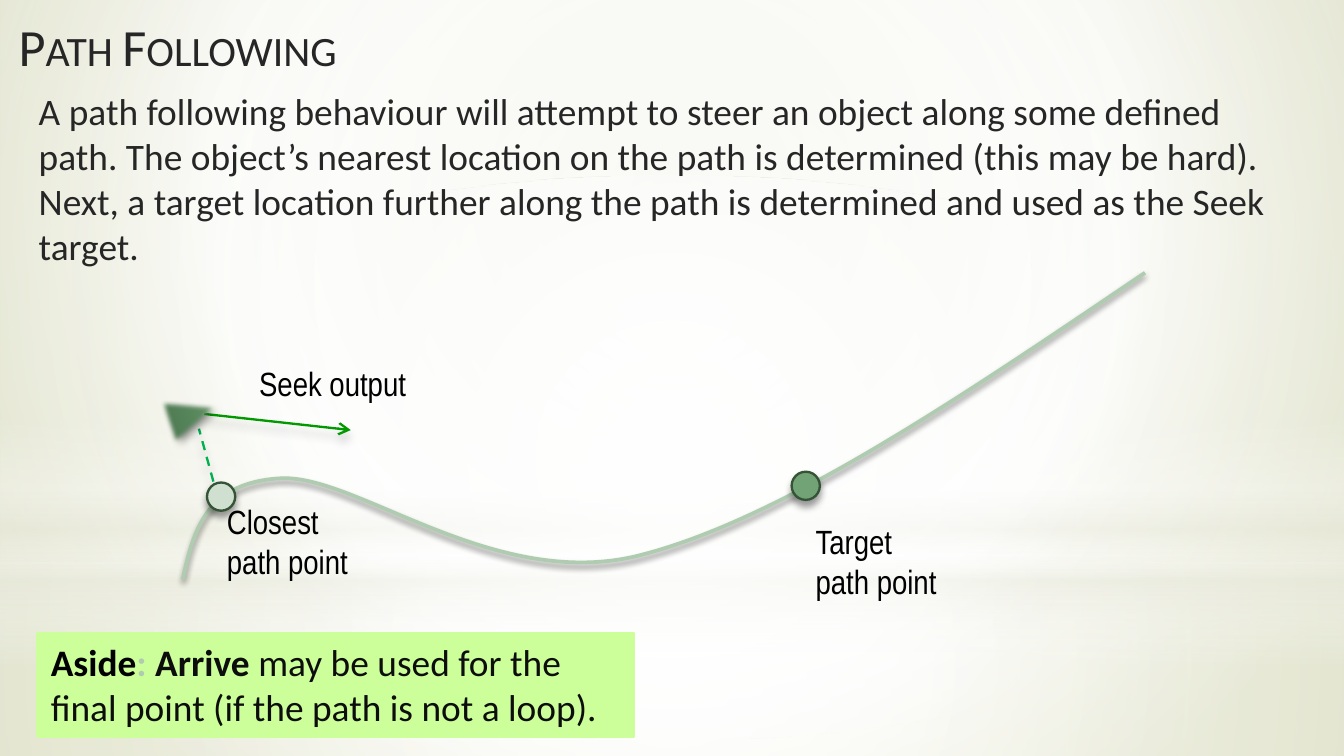
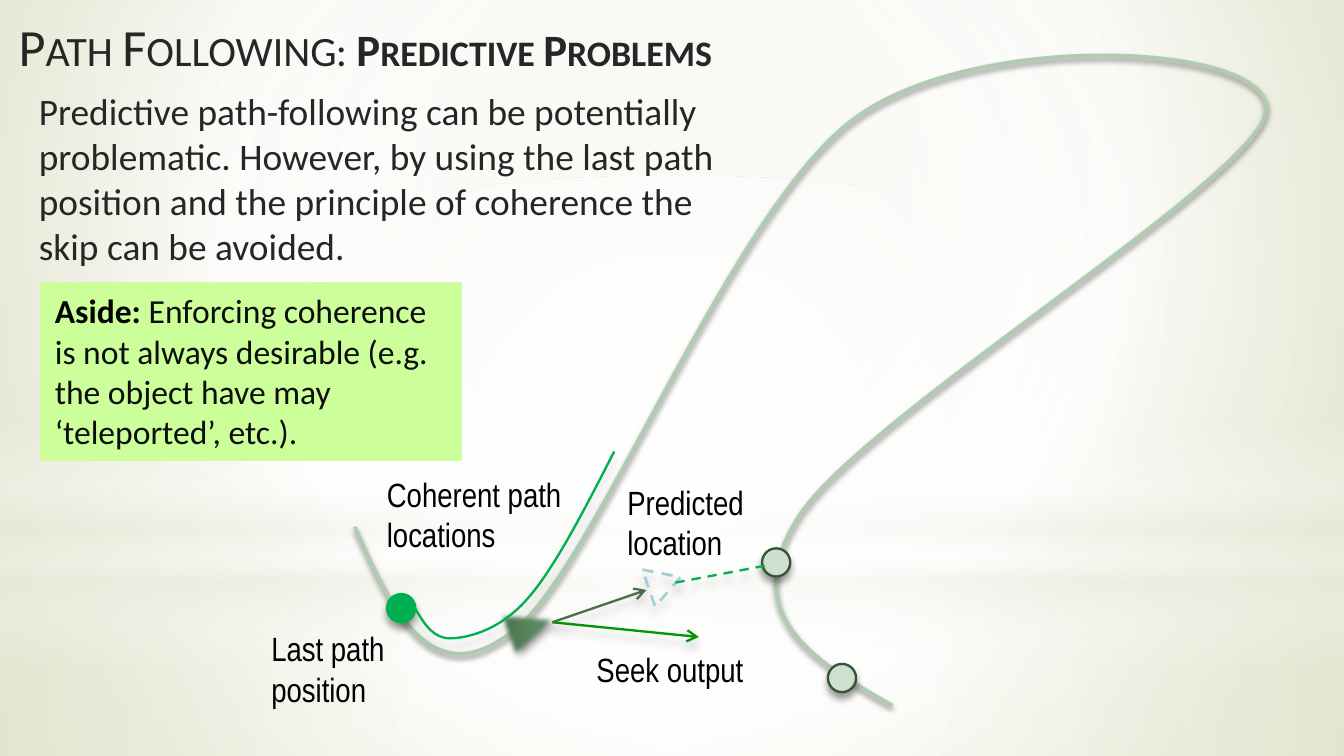
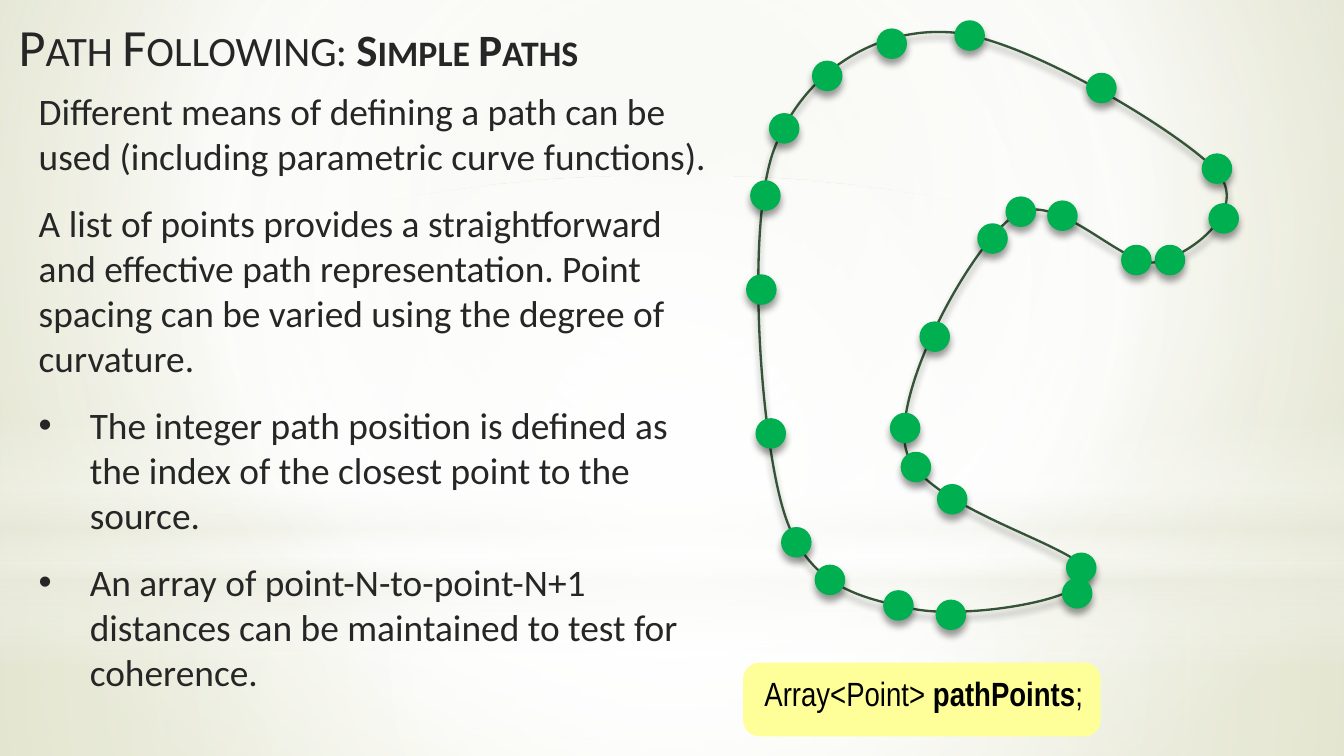
from lxml import etree
from pptx import Presentation
from pptx import util as u
from pptx.dml.color import RGBColor
from pptx.enum import dml, shapes, text
from pptx.oxml.ns import qn

BLACK = RGBColor(0x00, 0x00, 0x00)
INK = RGBColor(0x26, 0x26, 0x26)
SOFT_BLACK = RGBColor(0x0D, 0x0D, 0x0D)
WHITE = RGBColor(0xFF, 0xFF, 0xFF)
MIST = RGBColor(0xEA, 0xEB, 0xDE)
SAND = RGBColor(0xE3, 0xE5, 0xD1)
OLIVE = RGBColor(0xCC, 0xD0, 0x9F)
LIME = RGBColor(0xCC, 0xFF, 0x99)
YELLOW = RGBColor(0xFF, 0xFF, 0x99)
SAGE = RGBColor(0xB0, 0xCC, 0xB0)
PALE = RGBColor(0xD0, 0xE0, 0xD0)
MID = RGBColor(0x72, 0xA3, 0x76)
DARK = RGBColor(0x35, 0x53, 0x37)
MOSS = RGBColor(0x47, 0x70, 0x4B)
GREEN = RGBColor(0x00, 0xB0, 0x50)
SEEK = RGBColor(0x00, 0x99, 0x00)
ICE = RGBColor(0xA8, 0xCD, 0xD7)
AGENT_TOP = RGBColor(0x6A, 0x9E, 0x6E)
AGENT_BOTTOM = RGBColor(0x49, 0x73, 0x4D)

RECT = shapes.MSO_SHAPE.RECTANGLE
ROUND = shapes.MSO_SHAPE.ROUNDED_RECTANGLE
OVAL = shapes.MSO_SHAPE.OVAL
TRIANGLE = shapes.MSO_SHAPE.FLOWCHART_EXTRACT

DOT = 0.21
CENTRE = (50, 50, 50, 50)
LINE_SHADOW = (20, 5, 4, 90)
DOT_SHADOW = (40, 4, 3, 90)
AGENT_SHADOW = (40, 4, 3, 45)
PATH_SHADOW = (45, 3.1, 1.8, 90)

BANDS = [
    (RECT, (0, 4.19, 10, 1.44), [(0, WHITE, 91), (37, WHITE, 76), (100, MIST, 79)], CENTRE),
    (RECT, (0, 0, 10, 4.19), [(0, WHITE, 89), (48, WHITE, 62), (100, MIST, 79)], CENTRE),
    (RECT, (0, 3.09, 10, 1.88), [(0, WHITE, 0), (29, WHITE, 30), (45, MIST, 40),
                                 (55, WHITE, 26), (65, MIST, 60), (100, WHITE, 0)], None),
    (OVAL, (0, 1.31, 10, 4.19), [(0, WHITE, 100), (56, WHITE, 0)], CENTRE),
]


def inches(values):
    """Turn numbers into lengths."""
    return [u.Inches(v) for v in values]


def add(parent, tag, **attrs):
    """Append a drawing element with the given attributes."""
    return etree.SubElement(parent, qn("a:" + tag), {k: str(v) for k, v in attrs.items()})


def gradient(fill, owner, stops, focus=None):
    """Give a fill a radial gradient, or a vertical one without a focus."""
    fill.gradient()
    grad = next(owner.iter(qn("a:gradFill")))
    for child in list(grad):
        grad.remove(child)
    stop_list = add(grad, "gsLst")
    for pos, color, alpha in stops:
        clr = add(add(stop_list, "gs", pos=pos * 1000), "srgbClr", val=color)
        if alpha < 100:
            add(clr, "alpha", val=alpha * 1000)
    if focus:
        sides = {k: v * 1000 for k, v in zip("ltrb", focus)}
        add(add(grad, "path", path="circle"), "fillToRect", **sides)
    else:
        add(grad, "lin", ang=5400000, scaled=0)


def effects(sp, shadow=None, soft=0):
    """Replace the theme effects by an optional shadow and soft edge."""
    lst = add(sp._element.spPr, "effectLst")
    if shadow:
        alpha, blur, dist, angle = shadow
        outer = add(lst, "outerShdw", blurRad=u.Pt(blur), dist=u.Pt(dist),
                    dir=angle * 60000, rotWithShape=0)
        add(add(outer, "srgbClr", val=BLACK), "alpha", val=alpha * 1000)
    if soft:
        add(lst, "softEdge", rad=u.Pt(soft))


def stroke(line, color, width=1.25, dash=False):
    """Style an outline."""
    line.color.rgb = color
    line.width = u.Pt(width)
    if dash:
        line.dash_style = dml.MSO_LINE.DASH


class Deck:
    """Holds the presentation, its style and the current slide."""

    def __init__(self):
        """Start a widescreen presentation."""
        self.prs = Presentation()
        self.prs.slide_width = u.Inches(10)
        self.prs.slide_height = u.Inches(10) * 9 // 16

    def slide(self, subtitle=None):
        """Add a slide with backdrop and title."""
        self.s = self.prs.slides.add_slide(self.prs.slide_layouts[6])
        gradient(self.s.background.fill, self.s._element,
                 [(0, SAND, 100), (60, WHITE, 100), (100, OLIVE, 100)], (20, 10, 20, 60))
        for kind, box, stops, focus in BANDS:
            self.shape(kind, box, stops=stops, focus=focus)
        title = dict(size=28, small=True)
        self.text((0.04, 0.06, 4.25, 0.63), [[("Path Following", title)]], fit=False)
        if subtitle:
            runs = [(": ", title), (subtitle, dict(size=24, small=True, bold=True))]
            self.text((2.4, 0.06, 4.25, 0.63), [runs], fit=False)

    def shape(self, kind, box, fill=None, line=None, stops=None, focus=None,
              width=1.25, dash=False, shadow=None, soft=0, rotation=0):
        """Add a preset shape."""
        sp = self.s.shapes.add_shape(kind, *inches(box))
        sp.rotation = rotation
        if stops:
            gradient(sp.fill, sp._element, stops, focus)
        elif fill:
            sp.fill.solid()
            sp.fill.fore_color.rgb = fill
        else:
            sp.fill.background()
        if line:
            stroke(sp.line, line, width, dash)
        else:
            sp.line.fill.background()
        effects(sp, shadow, soft)
        return sp

    def put_text(self, sp, paragraphs, size, font, color, fit=True,
                 anchor=text.MSO_ANCHOR.TOP, gap=0, bullets=()):
        """Fill a shape with paragraphs, run by run."""
        tf = sp.text_frame
        tf.word_wrap = True
        tf.vertical_anchor = anchor
        if fit:
            tf.auto_size = text.MSO_AUTO_SIZE.SHAPE_TO_FIT_TEXT
        for i, runs in enumerate(paragraphs):
            p = tf.add_paragraph() if i else tf.paragraphs[0]
            p.alignment = text.PP_ALIGN.LEFT
            if i and gap:
                p.space_before = u.Pt(gap)
            if i in bullets:
                pPr = p._p.get_or_add_pPr()
                pPr.set("marL", str(u.Inches(0.38)))
                pPr.set("indent", str(-u.Inches(0.38)))
                add(pPr, "buFont", typeface="Arial")
                add(pPr, "buChar", char="•")
            for words, style in runs:
                r = p.add_run()
                r.text = words
                r.font.name = font
                r.font.size = u.Pt(style.get("size", size))
                r.font.bold = style.get("bold", False)
                r.font.color.rgb = style.get("color", color)
                if style.get("small"):
                    r.font._element.set("cap", "small")

    def text(self, box, paragraphs, size=20, font="Calibri", color=INK, **layout):
        """Add a text box."""
        sp = self.s.shapes.add_textbox(*inches(box))
        self.put_text(sp, paragraphs, size, font, color, **layout)

    def body(self, width, height, *paragraphs, **layout):
        """Add the main text."""
        self.text((0.19, 0.61, width, height), [[(p, {})] for p in paragraphs], **layout)

    def label(self, box, *runs):
        """Add a diagram label."""
        self.text(box, [runs], 18, "Arial Narrow", BLACK, anchor=text.MSO_ANCHOR.MIDDLE)

    def aside(self, box, size, *runs):
        """Add a highlighted remark."""
        sp = self.shape(RECT, box, LIME, LIME)
        self.put_text(sp, [runs], size, "Calibri", SOFT_BLACK)

    def dot(self, x, y, fill=GREEN, line=GREEN):
        """Add a path point."""
        self.shape(OVAL, (x, y, DOT, DOT), fill, line, shadow=DOT_SHADOW)

    def agent(self, x, y, rotation):
        """Add the steered object."""
        self.shape(TRIANGLE, (x, y, 0.41, 0.47), rotation=rotation, shadow=AGENT_SHADOW,
                   stops=[(0, AGENT_TOP, 100), (100, AGENT_BOTTOM, 100)], soft=2.5)

    def connector(self, start, end, color, dash=False, arrow=False):
        """Add a straight line or arrow."""
        cn = self.s.shapes.add_connector(shapes.MSO_CONNECTOR.STRAIGHT, *inches(start + end))
        stroke(cn.line, color, dash=dash)
        if arrow:
            add(cn._element.spPr.find(qn("a:ln")), "tailEnd", type="arrow")
        effects(cn, LINE_SHADOW)

    def curve(self, points, color, width=1.25, shadow=LINE_SHADOW, close=False):
        """Add a Bézier curve: a start, then two handles and an end per segment."""
        start, *rest = [inches(pt) for pt in points]
        builder = self.s.shapes.build_freeform(*start, scale=1.0)
        builder.add_line_segments(rest, close=close)
        sp = builder.convert_to_shape()
        segments = list(sp._element.iter(qn("a:lnTo")))
        for trio in zip(segments[::3], segments[1::3], segments[2::3]):
            cubic = etree.Element(qn("a:cubicBezTo"))
            trio[0].addprevious(cubic)
            for seg in trio:
                cubic.append(seg[0])
                seg.getparent().remove(seg)
        sp.fill.background()
        stroke(sp.line, color, width)
        effects(sp, shadow)


def path_following(d):
    """Build the slide on the basic behaviour."""
    d.slide()
    d.aside((0.28, 4.71, 4.44, 0.77), 20,
            ("Aside", dict(bold=True, color=BLACK)), (": ", dict(bold=True, color=SAGE)),
            ("Arrive", dict(bold=True)),
            (" may be used for the final point (if the path is not a loop).", {}))
    d.connector((1.62, 3.7), (1.48, 3.19), GREEN, dash=True)
    d.connector((1.52, 3.08), (2.61, 3.2), SEEK, arrow=True)
    d.agent(1.25, 2.85, 71.8)
    d.label((1.83, 2.65, 2.03, 0.4), ("Seek output", {}))
    d.label((1.59, 3.67, 1.17, 0.71), ("Closest path point", {}))
    d.curve([(1.36, 4.31), (1.44, 3.95), (1.53, 3.59), (2.09, 3.56),
             (2.65, 3.53), (3.66, 4.39), (4.73, 4.14),
             (5.8, 3.88), (7.16, 2.95), (8.52, 2.03)], SAGE, 2, PATH_SHADOW)
    d.dot(1.54, 3.59, PALE, DARK)
    d.dot(5.89, 3.51, MID, DARK)
    d.label((5.97, 3.82, 1.17, 0.71), ("Target path point", {}))
    d.body(9.54, 1.45,
           "A path following behaviour will attempt to steer an object along some defined "
           "path. The object’s nearest location on the path is determined (this may be hard). "
           "Next, a target location further along the path is determined and used as the Seek "
           "target.")


def predictive_problems(d):
    """Build the slide on prediction and coherence."""
    d.slide("Predictive Problems")
    d.curve([(2.64, 3.92), (2.92, 4.55), (3.21, 5.19), (3.84, 4.68),
             (4.46, 4.17), (5.46, 1.5), (6.39, 0.86),
             (7.32, 0.21), (9.5, 0.33), (9.42, 0.83),
             (9.35, 1.33), (6.4, 3.11), (5.94, 3.85),
             (5.48, 4.58), (6.06, 4.92), (6.64, 5.25)], SAGE, 2, PATH_SHADOW)
    d.connector((4.11, 4.63), (5.2, 4.74), SEEK, arrow=True)
    d.label((4.34, 4.78, 2.03, 0.4), ("Seek output", {}))
    d.label((4.57, 3.53, 1.17, 0.71), ("Predicted location", {}))
    d.dot(5.67, 4.08, PALE, DARK)
    d.connector((4.11, 4.63), (4.81, 4.39), MOSS, arrow=True)
    d.shape(TRIANGLE, (4.8, 4.21, 0.29, 0.25), line=ICE, width=1.5, dash=True,
            shadow=LINE_SHADOW, rotation=70.9)
    d.agent(3.77, 4.43, 70.9)
    d.dot(6.16, 4.94, PALE, DARK)
    d.aside((0.31, 2.11, 3.12, 1.31), 18, ("Aside: ", dict(bold=True, color=BLACK)),
            ("Enforcing coherence is not always desirable (e.g. the object have may "
             "‘teleported’, etc.).", {}))
    d.connector((5.69, 4.21), (5, 4.34), GREEN, dash=True)
    d.dot(2.88, 4.42)
    d.label((1.92, 4.62, 1.41, 0.71), ("Last path position", {}))
    d.curve([(3.09, 4.53), (3.16, 4.65), (3.23, 4.76), (3.37, 4.75),
             (3.51, 4.74), (3.73, 4.68), (3.93, 4.45),
             (4.13, 4.22), (4.35, 3.79), (4.57, 3.36)], GREEN)
    d.label((2.78, 3.47, 1.72, 0.71), ("Coherent path locations", {}))
    d.body(5.52, 1.45,
           "Predictive path-following can be potentially problematic. However, by using the "
           "last path position and the principle of coherence the skip can be avoided.")


def simple_paths(d):
    """Build the slide on paths as lists of points."""
    d.slide("Simple Paths")
    d.curve([(6.79, 4.53), (6.41, 4.45), (6, 4.37), (5.83, 3.8),
             (5.66, 3.24), (5.55, 1.74), (5.75, 1.14),
             (5.96, 0.55), (6.5, 0.21), (7.05, 0.24),
             (7.6, 0.26), (8.79, 0.99), (9.05, 1.27),
             (9.31, 1.56), (8.86, 1.9), (8.61, 1.95),
             (8.36, 2.01), (7.85, 1.38), (7.54, 1.61),
             (7.22, 1.84), (6.64, 2.9), (6.74, 3.34),
             (6.83, 3.78), (8.08, 4.07), (8.09, 4.27),
             (8.1, 4.47), (7.17, 4.61), (6.79, 4.53)], DARK, shadow=DOT_SHADOW, close=True)
    path_points = [
        (7.11, 0.16), (8.95, 1.15), (9, 1.52), (8.6, 1.83), (8.35, 1.83),
        (7.8, 1.5), (7.49, 1.47), (7.28, 1.67), (6.85, 2.4), (6.63, 3.08),
        (6.71, 3.37), (6.98, 3.61), (7.94, 4.12), (7.91, 4.31), (6.97, 4.47),
        (6.58, 4.4), (6.07, 4.21), (5.82, 3.93), (5.63, 3.12), (5.56, 2.05),
        (5.59, 1.35), (5.73, 0.85), (6.05, 0.46), (6.53, 0.22), (8.09, 0.55)]
    for x, y in path_points:
        d.dot(x, y)
    code_box = d.shape(ROUND, (5.53, 4.93, 2.66, 0.55), YELLOW)
    code_box.adjustments[0] = 0.22
    d.label((5.59, 4.96, 3.07, 0.4),
            ("Array<Point> ", {}), ("pathPoints", dict(bold=True)), (";", {}))
    d.body(5.24, 4.95,
           "Different means of defining a path can be used (including parametric curve "
           "functions).",
           "A list of points provides a straightforward and effective path representation. "
           "Point spacing can be varied using the degree of curvature.",
           "The integer path position is defined as the index of the closest point to the "
           "source.",
           "An array of point-N-to-point-N+1 distances can be maintained to test for "
           "coherence.",
           gap=12, bullets=(2, 3))


def main():
    """Build and save the deck."""
    d = Deck()
    path_following(d)
    predictive_problems(d)
    simple_paths(d)
    d.prs.save("out.pptx")


if __name__ == "__main__":
    main()
